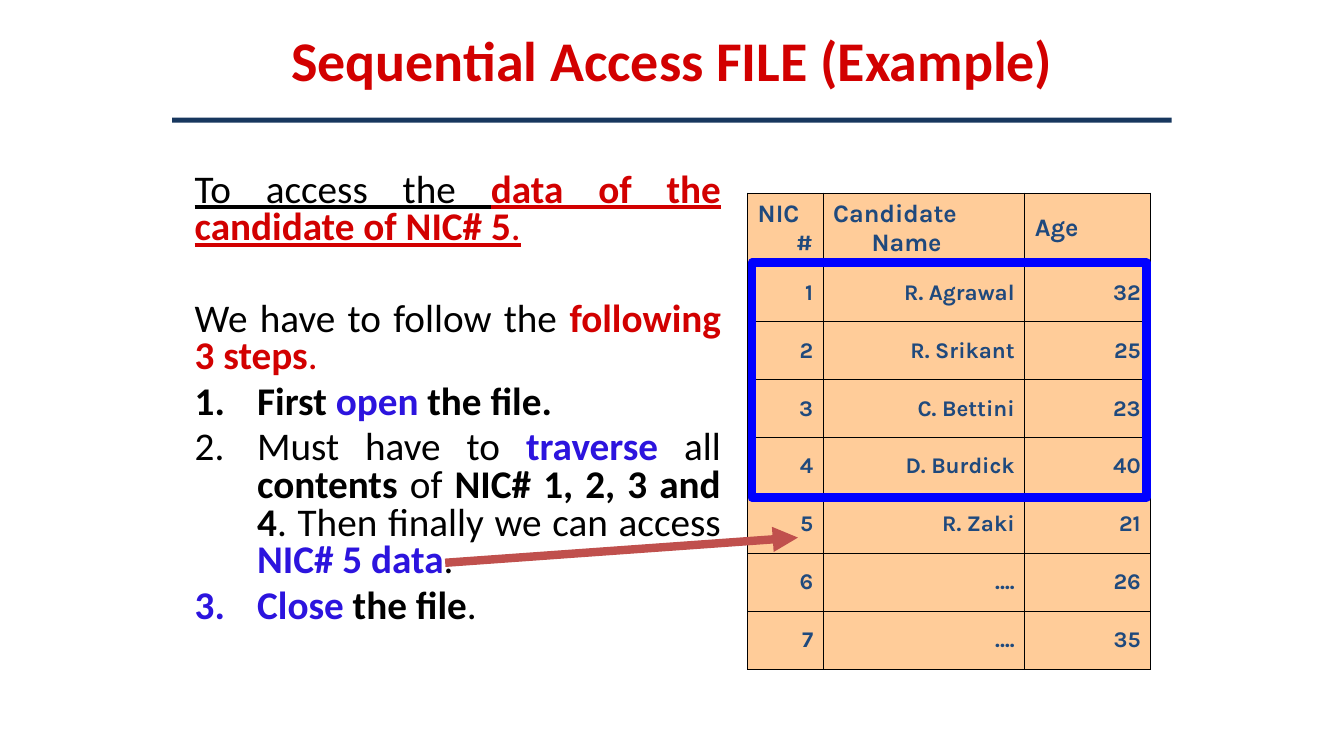
import pptx
import pptx.util
import pptx.dml.color
import pptx.enum.shapes
import pptx.enum.text
import pptx.oxml
import pptx.oxml.ns

COLORS = {
    "red": "D20000", "black": "000000", "violet": "2C14DE", "navy": "17375E",
    "ink": "1F497D", "peach": "FFCC99", "frame": "0000FF", "arrow": "C0504D",
}
COLS, ROWS = 160, 90
SLIDE_W, SLIDE_H = pptx.util.Inches(13.333), pptx.util.Inches(7.5)
ALIGN = pptx.enum.text.PP_ALIGN
MIDDLE = pptx.enum.text.MSO_ANCHOR.MIDDLE
RECT = pptx.enum.shapes.MSO_SHAPE.RECTANGLE

CANDIDATES = [
    ("NIC#", "Candidate Name", "Age"),
    ("1", "R. Agrawal", "32"),
    ("2", "R. Srikant", "25"),
    ("3", "C. Bettini", "23"),
    ("4", "D. Burdick", "40"),
    ("5", "R. Zaki", "21"),
    ("6", "….", "26"),
    ("7", "….", "35"),
]
GOAL = [("To access the ", "black", False),
        ("data of the candidate of NIC# 5", "red", True), (".", "red", False)]
LEAD = [("We have to follow the ", "black", False),
        ("following 3 steps", "red", True), (".", "red", False)]
STEPS = [
    [("First ", "black", True), ("open", "violet", True), (" the file.", "black", True)],
    [("Must have to ", "black", False), ("traverse ", "violet", True),
     ("all ", "black", False), ("contents", "black", True), (" of ", "black", False),
     ("NIC# 1, 2, 3 and 4", "black", True),
     (". Then finally we can access ", "black", False),
     ("NIC# 5 data", "violet", True), (".", "black", False)],
    [("Close", "violet", True), (" the file", "black", True), (".", "black", False)],
]


def gx(cols):
    return round(SLIDE_W * cols / COLS)


def gy(rows):
    return round(SLIDE_H * rows / ROWS)


def grid_box(x, y, w, h):
    return gx(x), gy(y), gx(w), gy(h)


def rgb(name):
    return pptx.dml.color.RGBColor.from_string(COLORS[name])


def xml(tag, body="", attrs=""):
    return pptx.oxml.parse_xml(
        f'<a:{tag} {pptx.oxml.ns.nsdecls("a")} {attrs}>{body}</a:{tag}>')


def hang(p, inches):
    pPr = p._p.get_or_add_pPr()
    indent = pptx.util.Inches(inches)
    pPr.set("marL", str(indent))
    pPr.set("indent", str(-indent))
    return pPr


def add_run(p, text, size, color, bold=True, font="Calibri", underline=False):
    r = p.add_run()
    r.text = text
    r.font.size = pptx.util.Pt(size)
    r.font.name = font
    r.font.bold = bold
    r.font.underline = underline
    r.font.color.rgb = rgb(color)


def add_text_box(s, *box):
    tf = s.shapes.add_textbox(*grid_box(*box)).text_frame
    tf.word_wrap = True
    return tf


def add_title(s, text):
    tf = add_text_box(s, 20.5, 0, 119, 14)
    tf.vertical_anchor = MIDDLE
    p = tf.paragraphs[0]
    p.alignment = ALIGN.CENTER
    add_run(p, text, 40, "red")


def write_paragraph(p, runs, before=0, align=ALIGN.JUSTIFY, numbered=False, underline=False):
    if numbered:
        pPr = hang(p, 0.62)
        pPr.append(xml("buFont", attrs='typeface="+mj-lt"'))
        pPr.append(xml("buAutoNum", attrs='type="arabicPeriod"'))
    p.alignment = align
    p.line_spacing = 0.8
    p.space_before = pptx.util.Pt(before)
    for text, color, bold in runs:
        add_run(p, text, 28, color, bold, underline=underline)


def add_steps(s):
    tf = add_text_box(s, 22, 20, 65, 69)
    write_paragraph(tf.paragraphs[0], GOAL, underline=True)
    write_paragraph(tf.add_paragraph(), LEAD, before=38.5)
    for runs in STEPS:
        align = ALIGN.JUSTIFY if len(runs) > 3 else ALIGN.LEFT
        write_paragraph(tf.add_paragraph(), runs, 5.6, align, numbered=True)


def style_cell(cell, text, header):
    cell.fill.solid()
    cell.fill.fore_color.rgb = rgb("peach")
    cell.vertical_anchor = MIDDLE
    tcPr = cell._tc.get_or_add_tcPr()
    line = f'<a:solidFill><a:srgbClr val="{COLORS["black"]}"/></a:solidFill>'
    for i, side in enumerate(("lnL", "lnR", "lnT", "lnB")):
        tcPr.insert(i, xml(side, line, f'w="{pptx.util.Pt(1)}"'))
    p = cell.text_frame.paragraphs[0]
    hang(p, 0.38)
    p.alignment = ALIGN.LEFT if header else ALIGN.RIGHT
    add_run(p, text, 18 if header else 16, "ink", font="Karla")


def add_candidates(s):
    widths = (9, 24, 15)
    heights = [8.4] + [6.9] * (len(CANDIDATES) - 1)
    box = grid_box(89, 23, sum(widths), sum(heights))
    table = s.shapes.add_table(len(heights), len(widths), *box).table
    table.first_row = table.horz_banding = False
    for column, width in zip(table.columns, widths):
        column.width = gx(width)
    for i, (height, values) in enumerate(zip(heights, CANDIDATES)):
        table.rows[i].height = gy(height)
        for j, text in enumerate(values):
            style_cell(table.cell(i, j), text, i == 0)


def add_arrow(s, x1, y1, x2, y2):
    sp = s.shapes.add_connector(
        pptx.enum.shapes.MSO_CONNECTOR.STRAIGHT, gx(x1), gy(y1), gx(x2), gy(y2))
    sp.line.color.rgb = rgb("arrow")
    sp.line.width = pptx.util.Pt(6)
    sp.line._get_or_add_ln().append(xml("tailEnd", attrs='type="triangle"'))
    sp._element.spPr.append(xml("effectLst"))


def add_rect(s, *box, fill=None, line=None):
    sp = s.shapes.add_shape(RECT, *grid_box(*box))
    sp.shadow.inherit = False
    if fill:
        sp.fill.solid()
        sp.fill.fore_color.rgb = rgb(fill)
    else:
        sp.fill.background()
    if line:
        sp.line.color.rgb = rgb(line)
        sp.line.width = pptx.util.Pt(6)
    else:
        sp.line.fill.background()


def main():
    prs = pptx.Presentation()
    prs.slide_width, prs.slide_height = SLIDE_W, SLIDE_H
    s = prs.slides.add_slide(prs.slide_layouts[6])
    add_title(s, "Sequential Access FILE (Example)")
    add_candidates(s)
    add_steps(s)
    add_arrow(s, 53, 67, 95, 64)
    add_rect(s, 89.5, 31.25, 47, 28, line="frame")
    add_rect(s, 20.5, 14, 119, 0.6, fill="navy")
    prs.save("out.pptx")


if __name__ == "__main__":
    main()
